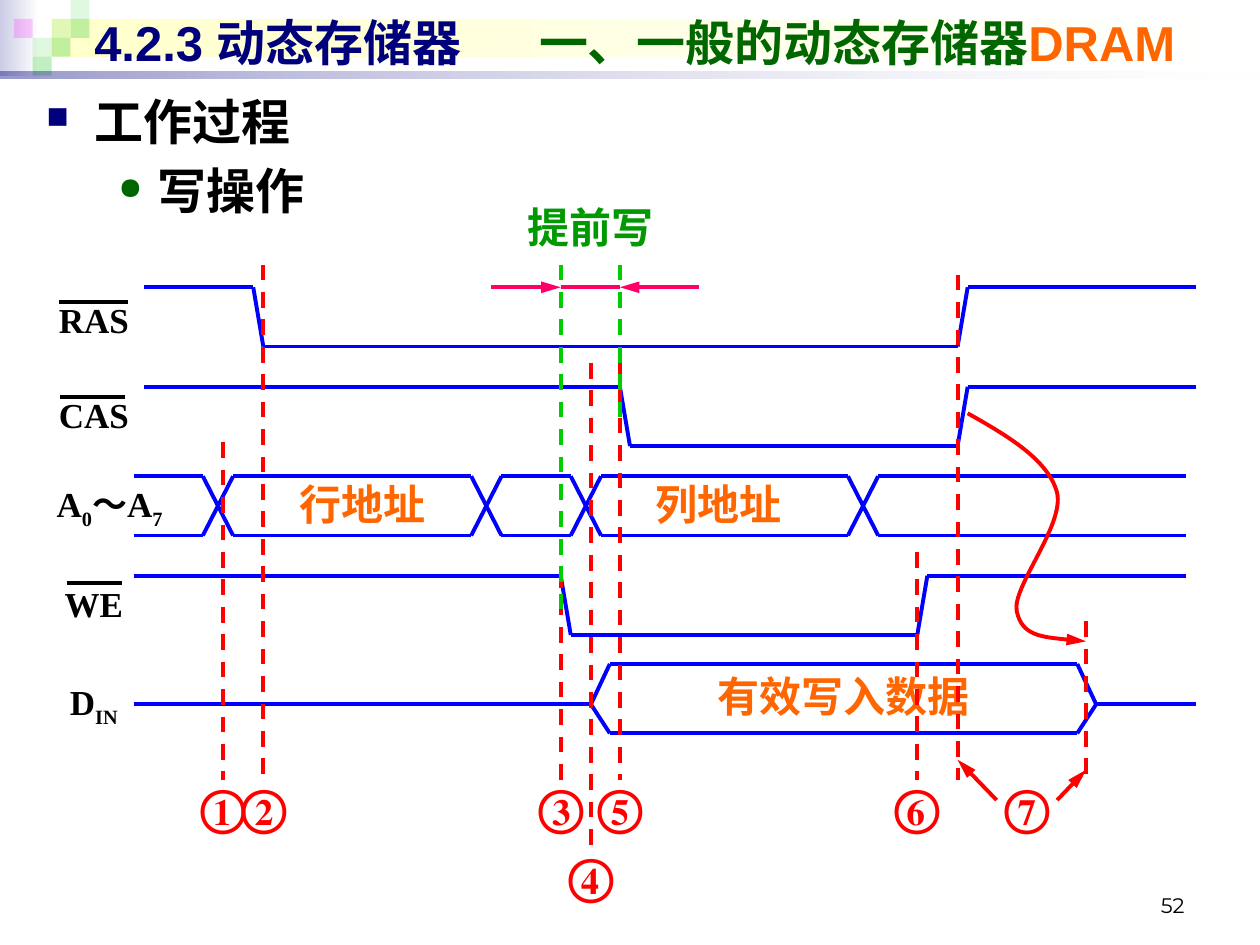
import dataclasses
import itertools

import pptx
import pptx.dml.color
import pptx.enum.dml
import pptx.enum.shapes
import pptx.enum.text
import pptx.oxml
import pptx.oxml.xmlchemy
import pptx.util

Inches = pptx.util.Inches
Pt = pptx.util.Pt
RGBColor = pptx.dml.color.RGBColor
Align = pptx.enum.text.PP_ALIGN
Anchor = pptx.enum.text.MSO_ANCHOR
make_element = pptx.oxml.xmlchemy.OxmlElement

NAVY = RGBColor(0x00, 0x00, 0x7D)
LAVENDER = RGBColor(0xCC, 0xCC, 0xE6)
CREAM = RGBColor(0xFF, 0xFF, 0xCC)
WHITE = RGBColor(0xFF, 0xFF, 0xFF)
BLACK = RGBColor(0x00, 0x00, 0x00)
LEAF = RGBColor(0x33, 0xCC, 0x33)
MAGENTA = RGBColor(0xFF, 0x00, 0xFF)
DARK_GREEN = RGBColor(0x00, 0x66, 0x00)
GREEN = RGBColor(0x00, 0x99, 0x00)
BRIGHT_GREEN = RGBColor(0x00, 0xCC, 0x00)
ORANGE = RGBColor(0xFF, 0x66, 0x00)
BLUE = RGBColor(0x00, 0x00, 0xFF)
RED = RGBColor(0xFF, 0x00, 0x00)
PINK = RGBColor(0xFF, 0x00, 0x66)
SERIF = "Times New Roman"


@dataclasses.dataclass
class Box:
    """A region of the slide, in inches."""
    left: float
    top: float
    width: float
    height: float

    def inner(self, left, top, width, height):
        """Return a box placed relative to this one."""
        return Box(self.left + left, self.top + top, width, height)

    def point(self, across, down):
        """Return the slide position of a point relative to this box."""
        return self.left + across, self.top + down

    def lengths(self):
        """Return left, top, width and height as lengths."""
        return [Inches(value) for value in dataclasses.astuple(self)]


def add_child(parent, tag, **attributes):
    """Append an XML element with the given attributes."""
    child = make_element(tag)
    for name, value in attributes.items():
        child.set(name, str(value))
    parent.append(child)
    return child


def style_line(shape, color, arrow=False):
    """Set the stroke of a line or outline."""
    shape.line.color.rgb = color
    shape.line.width = Pt(2.25)
    if arrow:
        add_child(shape.line._get_or_add_ln(), "a:tailEnd", type="triangle", w="med", len="lg")


def add_line(page, start, end, color, dashed=False, arrow=False):
    """Draw one straight line."""
    line = page.shapes.add_connector(
        pptx.enum.shapes.MSO_CONNECTOR.STRAIGHT, *map(Inches, start + end))
    if dashed:
        line.line.dash_style = pptx.enum.dml.MSO_LINE.DASH
    style_line(line, color, arrow)
    add_child(line._element.spPr, "a:effectLst")


def add_trace(page, box, points, color=BLUE):
    """Draw connected lines through points relative to the box."""
    for start, end in itertools.pairwise(points):
        add_line(page, box.point(*start), box.point(*end), color)


def add_text(page, box, spans, size, color, font=SERIF, align=Align.CENTER,
             anchor=Anchor.TOP, bold=True):
    """Place a paragraph of (text, color, is_subscript) spans and return it."""
    frame = page.shapes.add_textbox(*box.lengths()).text_frame
    frame.word_wrap = True
    frame.vertical_anchor = anchor
    para = frame.paragraphs[0]
    para.alignment = align
    para.font.size, para.font.name, para.font.bold = Pt(size), font, bold
    for text, span_color, subscript in spans:
        span = para.add_run()
        span.text = text
        span.font.color.rgb = span_color or color
        if subscript:
            span._r.get_or_add_rPr().set("baseline", "-25000")
    return para


def add_tile(page, box, colors, alphas):
    """Draw a rectangle with a plain fill or a left-to-right gradient."""
    tile = page.shapes.add_shape(pptx.enum.shapes.MSO_SHAPE.RECTANGLE, *box.lengths())
    tile.shadow.inherit = False
    tile.line.fill.background()
    if len(colors) == 1:
        tile.fill.solid()
        tile.fill.fore_color.rgb = colors[0]
    else:
        tile.fill.gradient()
        tile.fill.gradient_angle = 0
        for stop, color, position in zip(tile.fill.gradient_stops, colors, (0, 1)):
            stop.color.rgb, stop.position = color, position
    for node, alpha in zip(tile._element.spPr.xpath(".//a:srgbClr"), alphas):
        add_child(node, "a:alpha", val=alpha * 1000)


def draw_header(page, box):
    """Draw the banner, its mosaic and the title."""
    add_tile(page, box.inner(0, 0, 0.31, 0.6), [LAVENDER, WHITE], [])
    add_tile(page, box.inner(0.41, 0.15, 9.55, 0.3), [CREAM, WHITE], [])
    mosaic = [(2, 1, LEAF, 15), (3, 0, LEAF, 15), (3, 1, LEAF, 30), (1, 2, LEAF, 15),
              (0, 1, MAGENTA, 20), (2, 2, LEAF, 30), (1, 3, LEAF, 30)]
    for column, row, color, alpha in mosaic:
        add_tile(page, box.inner(0.11 + 0.15 * column, 0.15 * row, 0.15, 0.15), [color], [alpha])
    add_tile(page, box.inner(0, 0.57, box.width, 0.05), [NAVY, WHITE], [40, 10])
    spans = [("4.2.3 动态存储器\t", NAVY, False), ("一、一般的动态存储器", DARK_GREEN, False),
             ("DRAM", ORANGE, False)]
    title = add_text(page, box.inner(0.65, 0.05, 9.16, 0.57), spans, 28, NAVY, "Arial",
                     Align.LEFT, Anchor.MIDDLE)
    tabs = make_element("a:tabLst")
    add_child(tabs, "a:tab", pos=Inches(3.53), algn="l")
    title._p.get_or_add_pPr().insert(0, tabs)


def draw_outline(page, box):
    """Place the two bulleted headings."""
    frame = page.shapes.add_textbox(*box.lengths()).text_frame
    frame.word_wrap = True
    items = [("工作过程", "■", NAVY, 0.38, 0.38), ("写操作", "●", DARK_GREEN, 0.88, 0.31)]
    for level, (text, bullet, color, margin, hang) in enumerate(items):
        para = frame.add_paragraph() if level else frame.paragraphs[0]
        para.text, para.level = text, level
        para.space_before = Pt(5.6 * level)
        para.font.size, para.font.name, para.font.bold = Pt(28), SERIF, True
        para.font.color.rgb = BLACK
        properties = para._p.get_or_add_pPr()
        properties.set("marL", str(Inches(margin)))
        properties.set("indent", str(-Inches(hang)))
        marks = [make_element("a:buClr"), make_element("a:buSzPct"), make_element("a:buChar")]
        add_child(marks[0], "a:srgbClr", val=color)
        marks[1].set("val", "62000")
        marks[2].set("char", bullet)
        for mark in marks:
            properties.insert_element_before(mark, "a:tabLst", "a:defRPr", "a:extLst")


def draw_label(page, box, spans, bar=None):
    """Write a signal name, with an overbar (left, right, top) when active low."""
    align = Align.CENTER if box.width < 1 else Align.LEFT
    add_text(page, box, [(text, None, low) for text, low in spans], 20, BLACK, align=align)
    if bar:
        left, right, top = bar
        add_trace(page, box, [(left, top), (right, top)], BLACK)


def draw_pulse(page, box, fall, rise):
    """Draw a signal that goes low at fall and high again at rise."""
    slope = 0.08
    add_trace(page, box, [(0, 0), (fall, 0), (fall + slope, box.height), (rise, box.height),
                          (rise + slope, 0), (box.width, 0)])


def draw_address_bus(page, box, crossings):
    """Draw a two-rail bus that swaps at each crossing."""
    slope = 0.24
    edges = [0] + [x for start in crossings for x in (start, start + slope)] + [box.width]
    for rails in ((0, box.height), (box.height, 0)):
        add_trace(page, box, [(x, rails[index // 2 % 2]) for index, x in enumerate(edges)])
    for text, left in (("行地址", 1.03), ("列地址", 3.86)):
        add_text(page, box.inner(left, -0.03, 1.57, 0.5), [(text, None, False)], 24, ORANGE)


def draw_data(page, box, start, end):
    """Draw the data line that opens into a valid window."""
    middle, slope = 0.32, 0.15
    for rail in (0, box.height):
        add_trace(page, box, [(start, middle), (start + slope, rail),
                              (end - slope, rail), (end, middle)])
    add_trace(page, box, [(0, middle), (start, middle)])
    add_trace(page, box, [(end, middle), (box.width, middle)])
    add_text(page, box.inner(4.1, 0, 3.07, 0.5), [("有效写入数据", None, False)], 24, ORANGE)


def draw_markers(page, box):
    """Draw the dashed time marks and their numbers."""
    marks = [("①", 0, 1.41, 0), ("②", 0.32, 0, 0), ("③", 2.68, 2.44, 0), ("④", 2.92, 0.78, 0.55),
             ("⑤", 3.15, 0.78, 0), ("⑥", 5.51, 2.28, 0), ("", 5.83, 0.08, 0),
             ("", 6.85, 2.83, 0), ("⑦", 6.38, None, 0)]
    for number, across, top, drop in marks:
        if top is not None:
            add_line(page, box.point(across, top), box.point(across, box.height + drop), RED,
                     dashed=True)
        if number:
            add_text(page, box.inner(across - 0.31, 4.01 + drop, 0.63, 0.57),
                     [(number, None, False)], 28, RED)
    for start, end in (((6.14, 4.25), (5.83, 3.93)), ((6.62, 4.25), (6.85, 4.01))):
        add_line(page, box.point(*start), box.point(*end), RED, arrow=True)


def draw_hold_curve(page, box):
    """Draw the curved arrow from the CAS edge to the end of the data."""
    controls = [(0.32, 0.18), (0.64, 0.37), (0.71, 0.63), (0.77, 0.89), (0.35, 1.38),
                (0.39, 1.57), (0.43, 1.77), (0.69, 1.79), (box.width, box.height)]
    builder = page.shapes.build_freeform(*map(Inches, box.point(0, 0)))
    builder.add_line_segments([tuple(map(Inches, box.point(*spot))) for spot in controls],
                              close=False)
    curve = builder.convert_to_shape()
    curve.shadow.inherit = False
    curve.fill.background()
    style_line(curve, RED, arrow=True)
    steps = curve._element.xpath(".//a:lnTo")
    for index in range(0, len(steps), 3):
        bend = make_element("a:cubicBezTo")
        steps[index].addprevious(bend)
        for step in steps[index:index + 3]:
            bend.append(step[0])
            step.getparent().remove(step)


def draw_early_write(page, box):
    """Draw the early-write interval with its caption."""
    first, second, level = 0.55, 1.02, 0.73
    for across, bottom in ((first, 3.3), (second, 1.81)):
        add_line(page, box.point(across, 0.55), box.point(across, bottom), BRIGHT_GREEN, dashed=True)
    for start, end, arrow in ((0, first, True), (1.65, second, True), (first, second, False)):
        add_line(page, box.point(start, level), box.point(end, level), PINK, arrow=arrow)
    add_text(page, box.inner(0, 0, 1.57, 0.5), [("提前写", None, False)], 24, GREEN)


def main():
    """Build the slide and save it."""
    deck = pptx.Presentation()
    deck.slide_width, deck.slide_height = Inches(10), Inches(7.5)
    page = deck.slides.add_slide(deck.slide_layouts[6])
    draw_header(page, Box(0, 0, 10, 0.62))
    draw_outline(page, Box(0.27, 0.68, 5.28, 6.54))
    labels = [(2.32, [("RAS", False)], (0.12, 0.67, 0.08)),
              (3.07, [("CAS", False)], (0.13, 0.64, 0.08)),
              (4.57, [("WE", False)], (0.18, 0.62, 0.06)),
              (5.35, [("D", False), ("IN", True)], None)]
    for top, spans, bar in labels:
        draw_label(page, Box(0.35, top, 0.79, 0.43), spans, bar)
    draw_label(page, Box(0.35, 3.78, 1.18, 0.43),
               [("A", False), ("0", True), ("～A", False), ("7", True)])
    draw_pulse(page, Box(1.14, 2.28, 8.35, 0.47), 0.87, 6.46)
    draw_pulse(page, Box(1.14, 3.07, 8.35, 0.47), 3.78, 6.46)
    draw_address_bus(page, Box(1.06, 3.78, 8.35, 0.47), [0.55, 2.68, 3.47, 5.67])
    draw_pulse(page, Box(1.06, 4.57, 8.35, 0.47), 3.39, 6.22)
    draw_data(page, Box(1.06, 5.27, 8.43, 0.55), 3.63, 7.64)
    draw_markers(page, Box(1.77, 2.1, 6.85, 4.09))
    draw_hold_curve(page, Box(7.68, 3.28, 0.94, 1.81))
    draw_early_write(page, Box(3.9, 1.55, 1.65, 3.3))
    add_text(page, Box(7.17, 6.83, 2.33, 0.5), [("52", None, False)], 12, BLACK, "Montserrat",
             Align.RIGHT, Anchor.BOTTOM, bold=False)
    deck.save("out.pptx")


if __name__ == "__main__":
    main()
